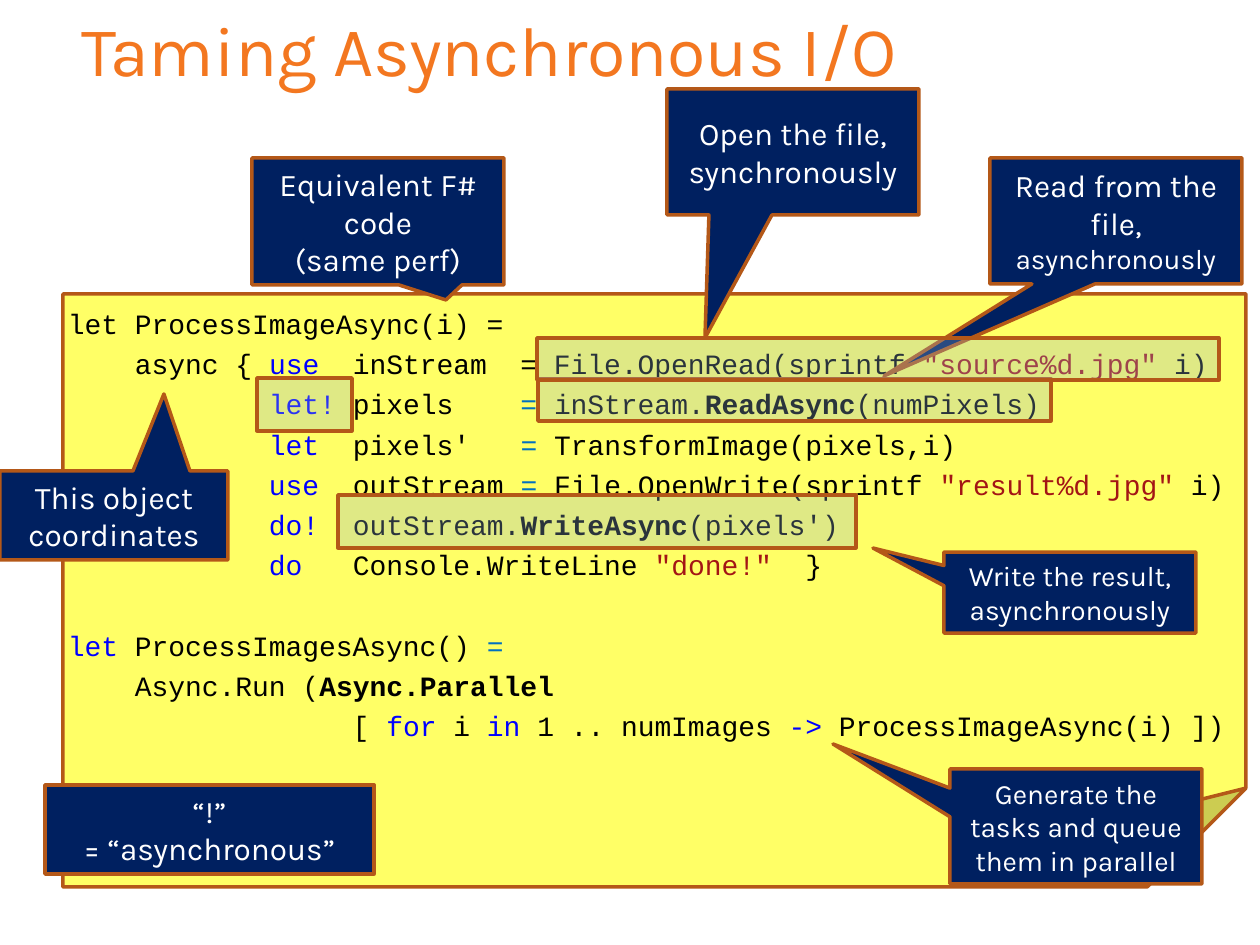
from dataclasses import dataclass
from lxml.etree import SubElement
from pptx import Presentation
from pptx.dml.color import RGBColor
from pptx.enum.shapes import MSO_SHAPE
from pptx.enum.text import MSO_ANCHOR, PP_ALIGN
from pptx.oxml.ns import qn
from pptx.util import Pt


@dataclass(frozen=True)
class Theme:
    title: str = "F37720"
    outline: str = "B45818"
    paper: str = "FFFF66"
    callout: str = "002060"
    callout_text: str = "FFFFFF"
    highlight: str = "94B6D2"
    highlight_opacity: int = 29
    plain: str = "000000"
    keyword: str = "0000FF"
    operator: str = "0070C0"
    string: str = "A31515"
    font: str = "Karla"
    code_font: str = "Courier New"
    title_size: int = 40
    large_size: int = 18
    small_size: int = 16
    code_size: int = 16
    outline_width: int = 2


THEME = Theme()
SLIDE = (1260, 945)
TITLE = "Taming Asynchronous I/O"
TITLE_BOX = (69, 0, 1134, 158)
CODE_BOX = (63, 294, 1183, 593)
CODE_INSET = 5
CODE_LINE = 40
CODE_LINE_GAP = 23

P, B, K, O, S = "plain", "bold", "keyword", "operator", "string"
CODE_BLOCKS = [
    [
        [(P, "let ProcessImageAsync(i) =")],
        [(P, "    async { "), (K, "use  "), (P, "inStream  = File.OpenRead(sprintf "),
         (S, '"source%d.jpg" '), (P, "i)")],
        [(K, "            let! "), (P, "pixels"), (O, "    = "), (P, "inStream."),
         (B, "ReadAsync"), (P, "(numPixels)")],
        [(K, "            let  "), (P, "pixels'   "), (O, "= "), (P, "TransformImage(pixels,i)")],
        [(K, "            use  "), (P, "outStream "), (O, "= "), (P, "File.OpenWrite(sprintf "),
         (S, '"result%d.jpg" '), (P, "i)")],
        [(K, "            do!  "), (P, "outStream."), (B, "WriteAsync"), (P, "(pixels')")],
        [(K, "            do   "), (P, "Console.WriteLine "), (S, '"done!"'), (P, "  }")],
    ],
    [
        [(K, "let "), (P, "ProcessImagesAsync() "), (O, "=")],
        [(P, "    Async.Run ("), (B, "Async.Parallel")],
        [(P, "                 [ "), (K, "for "), (P, "i "), (K, "in "), (P, "1 .. numImages "),
         (K, "-> "), (P, "ProcessImageAsync(i) ])")],
    ],
]

LARGE, SMALL = THEME.large_size, THEME.small_size
CALLOUTS = [
    ((990, 158, 252, 126), (884, 376), [("Read from the file,", LARGE), ("asynchronously", SMALL)]),
    ((45, 785, 329, 89), (276, 785), [("“!”", LARGE), ("= “asynchronous”", LARGE)]),
    ((944, 552, 252, 81), (873, 548), [("Write the result, asynchronously", SMALL)]),
    ((0, 471, 228, 89), (164, 394), [("This object coordinates", LARGE)]),
    ((252, 158, 252, 127), (446, 300), [("Equivalent F# code", LARGE), ("(same perf)", LARGE)]),
    ((950, 769, 252, 115), (833, 744), [("Generate the tasks and queue them in parallel", SMALL)]),
    ((667, 89, 252, 126), (705, 338), [("Open the file, synchronously", LARGE)]),
]
HIGHLIGHTS = [
    (538, 379, 513, 42),
    (338, 495, 518, 53),
    (537, 338, 682, 42),
    (257, 378, 95, 53),
]


def px(length):
    return round(length * 914400 / 126)


def rgb(colour):
    return RGBColor.from_string(colour)


def set_font(font, family, size, colour):
    font.name = family
    font.size = Pt(size)
    font.color.rgb = rgb(colour)


def add_outlined(slide, preset, box, fill):
    shape = slide.shapes.add_shape(preset, *map(px, box))
    shape.shadow.inherit = False
    shape.fill.solid()
    shape.fill.fore_color.rgb = rgb(fill)
    shape.line.color.rgb = rgb(THEME.outline)
    shape.line.width = Pt(THEME.outline_width)
    return shape


def add_paragraph(frame, index):
    return frame.add_paragraph() if index else frame.paragraphs[0]


def add_title(slide):
    title = slide.shapes.title
    title.left, title.top, title.width, title.height = map(px, TITLE_BOX)
    title.text_frame.text = TITLE
    title.text_frame.vertical_anchor = MSO_ANCHOR.TOP
    heading = title.text_frame.paragraphs[0]
    heading.alignment = PP_ALIGN.LEFT
    set_font(heading.font, THEME.font, THEME.title_size, THEME.title)


def add_code(slide):
    frame = add_outlined(slide, MSO_SHAPE.FOLDED_CORNER, CODE_BOX, THEME.paper).text_frame
    frame.word_wrap = False
    frame.vertical_anchor = MSO_ANCHOR.MIDDLE
    frame.margin_left = frame.margin_right = frame.margin_top = px(CODE_INSET)
    frame.margin_bottom = px(CODE_INSET + CODE_LINE)
    lines = [(block, row, tokens) for block, rows in enumerate(CODE_BLOCKS)
             for row, tokens in enumerate(rows)]
    for index, (block, row, tokens) in enumerate(lines):
        line = add_paragraph(frame, index)
        line.alignment = PP_ALIGN.LEFT
        line.line_spacing = 1.2
        if block and row == 0:
            line.space_before = Pt(CODE_LINE_GAP)
        set_font(line.font, THEME.code_font, THEME.code_size, THEME.plain)
        for role, text in tokens:
            token = line.add_run()
            token.text = text
            token.font.bold = role == B
            token.font.color.rgb = rgb(getattr(THEME, P if role == B else role))


def add_callout(slide, box, tip, lines):
    callout = add_outlined(slide, MSO_SHAPE.RECTANGULAR_CALLOUT, box, THEME.callout)
    left, top, width, height = box
    callout.adjustments[0] = (tip[0] - left - width / 2) / width
    callout.adjustments[1] = (tip[1] - top - height / 2) / height
    frame = callout.text_frame
    frame.word_wrap = True
    frame.vertical_anchor = MSO_ANCHOR.MIDDLE
    for index, (text, size) in enumerate(lines):
        line = add_paragraph(frame, index)
        line.text = text
        line.alignment = PP_ALIGN.CENTER
        set_font(line.font, THEME.font, size, THEME.callout_text)


def add_highlight(slide, box):
    highlight = add_outlined(slide, MSO_SHAPE.RECTANGLE, box, THEME.highlight)
    colour = highlight.element.spPr.find(qn("a:solidFill")).find(qn("a:srgbClr"))
    SubElement(colour, qn("a:alpha")).set("val", str(THEME.highlight_opacity * 1000))


def main():
    deck = Presentation()
    deck.slide_width, deck.slide_height = map(px, SLIDE)
    slide = deck.slides.add_slide(deck.slide_layouts.get_by_name("Title Only"))
    add_title(slide)
    add_code(slide)
    for box, tip, lines in CALLOUTS:
        add_callout(slide, box, tip, lines)
    for box in HIGHLIGHTS:
        add_highlight(slide, box)
    deck.save("out.pptx")


if __name__ == "__main__":
    main()
